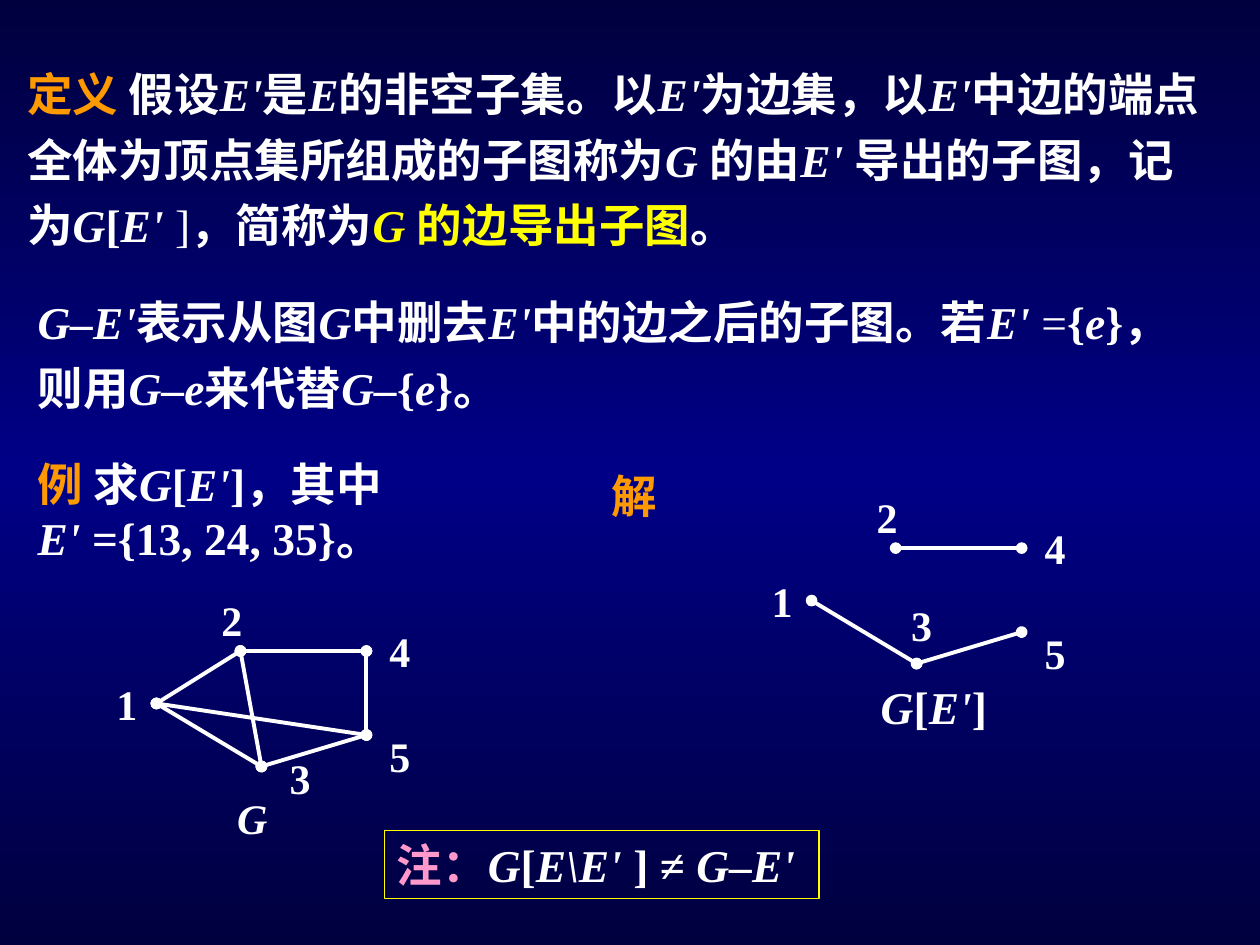
from copy import deepcopy
from itertools import groupby

from lxml.etree import SubElement
from pptx import Presentation
from pptx.dml.color import RGBColor
from pptx.enum.shapes import MSO_CONNECTOR, MSO_SHAPE
from pptx.oxml.ns import qn
from pptx.util import Inches, Pt

COLORS = {
    "edge_blue": "00003E",
    "middle_blue": "000086",
    "white": "FFFFFF",
    "orange": "FF9900",
    "yellow": "FFFF00",
    "pink": "FF99CC",
}
LATIN, CHINESE = "Times New Roman", "Noto Sans CJK SC"

# The page is a grid of 120 columns by 90 rows
COLUMNS, ROWS = 120, 90
CELL = Inches(10) // COLUMNS

# Vertices and their labels, in cells from the corner of a graph
VERTICES = {1: (0, 5), 2: (8, 0), 3: (10, 11), 4: (20, 0), 5: (20, 8)}
LABELS = {1: (-5, 2), 2: (5, -6), 3: (11.5, 9.1), 4: (21, -3), 5: (21, 7)}


def cells(*counts):
    return [round(count * CELL) for count in counts]


def color(name):
    return RGBColor.from_string(COLORS[name])


def is_chinese(letter):
    return ord(letter) > 0x2E80


def add_text(para, text, *, tint="white", size=26, bold=True):
    """Add text in which asterisks enclose the italic parts."""
    for index, piece in enumerate(text.split("*")):
        for chinese, letters in groupby(piece, is_chinese):
            span = para.add_run()
            span.text = "".join(letters)
            span.font.size = Pt(size)
            span.font.bold = bold
            span.font.italic = index % 2 == 1
            span.font.color.rgb = color(tint)
            span.font.name = CHINESE if chinese else LATIN
            SubElement(span.font._element, qn("a:ea"), typeface=CHINESE)


def add_box(shapes, left, top, width, height):
    box = shapes.add_textbox(*cells(left, top, width, height))
    box.text_frame.word_wrap = True
    return box.text_frame.paragraphs[0]


def add_edge(shapes, start, end):
    edge = shapes.add_connector(MSO_CONNECTOR.STRAIGHT, *cells(*start, *end))
    edge.line.width = Pt(2.25)
    edge.line.color.rgb = color("white")
    line = edge.line._get_or_add_ln()
    for tag in ("a:headEnd", "a:tailEnd"):
        SubElement(line, qn(tag), type="oval")
    SubElement(edge._element.spPr, qn("a:effectLst"))


def add_graph(page, left, top, edges, labels, name, name_place, size):
    shapes = page.shapes.add_group_shape().shapes
    points = {key: (left + x, top + y) for key, (x, y) in VERTICES.items()}
    for start, end in edges:
        add_edge(shapes, points[start], points[end])
    for key, (x, y) in labels.items():
        add_text(add_box(shapes, left + x, top + y, 5.2, 6), str(key), size=24)
    x, y, width, height = name_place
    add_text(add_box(shapes, left + x, top + y, width, height), name, size=size)


def paint_background(page):
    fill = page.background.fill
    fill.gradient()
    fill.gradient_angle = 270
    stop_list = page._element.find(".//" + qn("a:gsLst"))
    stop_list.insert(1, deepcopy(stop_list[0]))
    tints = ("edge_blue", "middle_blue", "edge_blue")
    for index, (stop, tint) in enumerate(zip(fill.gradient_stops, tints)):
        stop.position = index / 2
        stop.color.rgb = color(tint)


def add_definitions(page):
    para = add_box(page.shapes, 1.4, 4.7, 115.3, 19.9)
    para.line_spacing = 1.2
    add_text(para, "定义 ", tint="orange")
    add_text(para, "假设*E'*是*E*的非空子集。以*E'*为边集，以*E'*中边的"
                   "端点全体为顶点集所组成的子图称为*G *的由*E' *导出的子"
                   "图，记为*G*[*E'*")
    add_text(para, " ]", bold=False)
    add_text(para, "，简称为")
    add_text(para, "*G *的边导出子图", tint="yellow")
    add_text(para, "。")

    para = add_box(page.shapes, 2.4, 26.4, 114.4, 13.7)
    para.line_spacing = 1.2
    add_text(para, "*G–E'*表示从图*G*中删去*E'*中的边之后的子图。若*E'*")
    add_text(para, " =", bold=False)
    add_text(para, "{*e*}，则用*G–e*来代替*G–*{*e*}。")


def add_example(page):
    para = add_box(page.shapes, 2.4, 42.8, 36, 11.6)
    add_text(para, "例", tint="orange")
    add_text(para, " 求*G*[*E'*]，其中*E' *={13, 24, 35}。")
    add_text(add_box(page.shapes, 57.1, 44, 20.8, 6.5), "解", tint="orange")


def add_note(page):
    note = page.shapes.add_shape(MSO_SHAPE.RECTANGLE, *cells(36.6, 79.1, 41.4, 6.5))
    note.shadow.inherit = False
    note.fill.background()
    note.line.color.rgb = color("yellow")
    note.line.width = Pt(0.75)
    note.text_frame.word_wrap = False
    para = note.text_frame.paragraphs[0]
    para.alignment = 1  # left
    add_text(para, "注：", tint="pink")
    add_text(para, r"*G*[*E\E' *] ≠* G–E'*")


def main():
    deck = Presentation()
    deck.slide_width, deck.slide_height = cells(COLUMNS, ROWS)
    page = deck.slides.add_slide(deck.slide_layouts[6])
    paint_background(page)
    add_definitions(page)
    add_example(page)

    # The whole graph, then the subgraph induced by its edges 13, 24, 35
    add_graph(page, 14.9, 62,
              [(2, 3), (2, 4), (2, 1), (1, 3), (4, 5), (3, 5), (1, 5)],
              LABELS, "*G*", (6.5, 12.9, 6.5, 6), 24)
    add_graph(page, 77.3, 52.2, [(2, 4), (1, 3), (3, 5)],
              {**LABELS, 3: (8.3, 4.3)}, "*G*[*E'*]", (5.4, 11.9, 16.1, 6.5), 26)
    add_note(page)
    deck.save("out.pptx")


if __name__ == "__main__":
    main()
